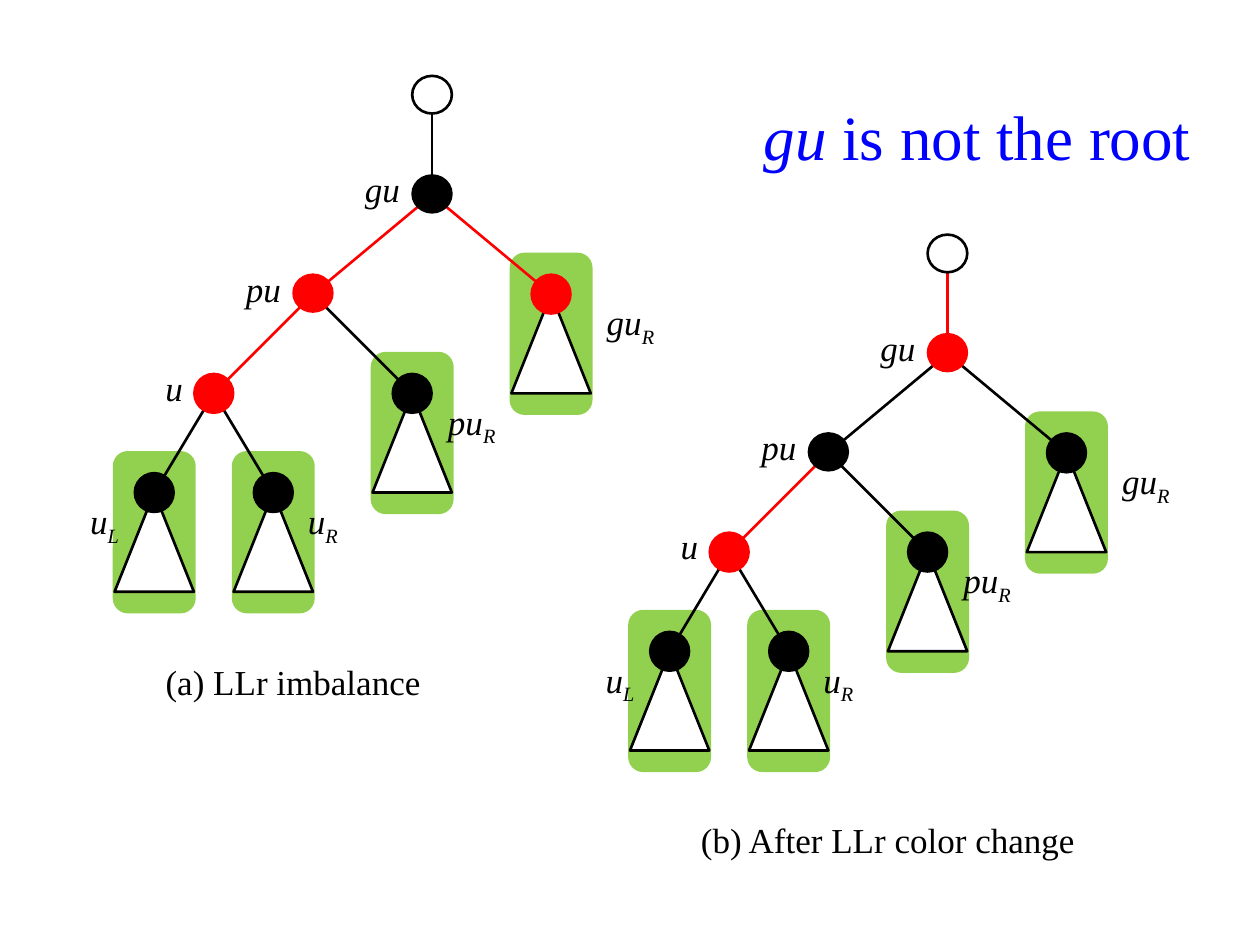
import pptx
import pptx.util
import pptx.dml.color
import pptx.enum.shapes
import pptx.enum.text
import pptx.oxml.ns
from lxml import etree

Cm = pptx.util.Cm
Pt = pptx.util.Pt
Preset = pptx.enum.shapes.MSO_SHAPE
Anchor = pptx.enum.text.MSO_ANCHOR
color = pptx.dml.color.RGBColor.from_string

theme = {
    "font": "Times New Roman",
    "title_size": 36,
    "text_size": 20,
    "title": "0000FF",
    "black": "000000",
    "red": "FF0000",
    "white": "FFFFFF",
    "green": "92D050",
}


def add_preset(preset, box, fill, line, width):
    shape = slide.shapes.add_shape(preset, *map(Cm, box))
    shape.shadow.inherit = False
    shape.fill.solid()
    shape.fill.fore_color.rgb = color(theme[fill])
    shape.line.color.rgb = color(theme[line])
    shape.line.width = Pt(width)


def write_text(shape, box, frame_format, pieces, size, ink):
    shape.left, shape.top, shape.width, shape.height = map(Cm, box)
    frame_format = {"word_wrap": True, "auto_size": pptx.enum.text.MSO_AUTO_SIZE.NONE, **frame_format}
    for name, value in frame_format.items():
        setattr(shape.text_frame, name, value)
    paragraph = shape.text_frame.paragraphs[0]
    paragraph.alignment = pptx.enum.text.PP_ALIGN.CENTER
    for text, italic, baseline in pieces:
        run = paragraph.add_run()
        run.text = text
        run_format = {"name": theme["font"], "size": Pt(size), "italic": italic}
        for name, value in run_format.items():
            setattr(run.font, name, value)
        run.font.color.rgb = color(theme[ink])
        if baseline:
            run.font._element.set("baseline", str(baseline))


presentation = pptx.Presentation()
presentation.slide_width = Cm(25.4)
presentation.slide_height = Cm(19.05)
slide = presentation.slides.add_slide(presentation.slide_layouts[5])

write_text(slide.shapes.title, (14.7, 1.52, 10, 2.4), {"vertical_anchor": Anchor.MIDDLE},
           [("gu", True, 0), (" is not the root", False, 0)], theme["title_size"], "title")

nodes = {
    "parent": (0, -2), "gu": (0, 0), "pu": (-2.4, 2), "u": (-4.4, 4),
    "uL": (-5.6, 6), "uR": (-3.2, 6), "puR": (-0.4, 4), "guR": (2.4, 2),
}
edges = [("parent", "gu"), ("gu", "pu"), ("gu", "guR"), ("pu", "u"),
         ("pu", "puR"), ("u", "uL"), ("u", "uR")]
node_heights = {"parent": 0.76, "gu": 0.76, "pu": 0.76}
node_label_widths = {"gu": 1.2, "pu": 1.2, "u": 0.8}
subtree_labels = {"uL": (-1.6, 1.2), "uR": (0.4, 1.2), "puR": (0.4, 1.6), "guR": (0.8, 1.6)}

trees = [
    {"root": (8.71, 3.93), "red_nodes": {"pu", "u", "guR"},
     "red_edges": {("gu", "pu"), ("gu", "guR"), ("pu", "u")},
     "caption": "(a) LLr imbalance", "caption_left": -6, "caption_width": 6.4},
    {"root": (19.1, 7.13), "red_nodes": {"gu", "u"},
     "red_edges": {("parent", "gu"), ("pu", "u")},
     "caption": "(b) After LLr color change", "caption_left": -5.6, "caption_width": 8.8},
]

for tree in trees:
    root_x, root_y = tree["root"]
    centers = {name: (root_x + x, root_y + y) for name, (x, y) in nodes.items()}

    for name in subtree_labels:
        x, y = centers[name]
        add_preset(Preset.FLOWCHART_ALTERNATE_PROCESS, (x - 0.8, y - 0.8, 1.6, 3.2), "green", "green", 2)
        add_preset(Preset.ISOSCELES_TRIANGLE, (x - 0.8, y, 1.6, 2), "white", "black", 1.5)

    for edge in edges:
        start, end = (centers[name] for name in edge)
        connector = slide.shapes.add_connector(
            pptx.enum.shapes.MSO_CONNECTOR.STRAIGHT, *map(Cm, start + end))
        connector.line.color.rgb = color(theme["red" if edge in tree["red_edges"] else "black"])
        connector.line.width = Pt(1.5)
        etree.SubElement(connector._element.spPr, pptx.oxml.ns.qn("a:effectLst"))

    for name, (x, y) in centers.items():
        ink = "red" if name in tree["red_nodes"] else "black"
        fill, width = ("white", 1.5) if name == "parent" else (ink, 1)
        add_preset(Preset.OVAL, (x - 0.4, y - 0.4, 0.8, node_heights.get(name, 0.8)), fill, ink, width)

    labels = []
    for name, width in node_label_widths.items():
        x, y = centers[name]
        labels.append(((x - 0.4 - width, y - 0.4, width, 0.8), 0.2, [(name, True, 0)]))
    for name, (shift, width) in subtree_labels.items():
        x, y = centers[name]
        labels.append(((x + shift, y + 0.4, width, 0.8), 0.25,
                       [(name[:-1], True, 0), (name[-1], True, -25000)]))
    for box, inset, pieces in labels:
        label_format = {"margin_left": Cm(inset), "margin_right": Cm(inset), "margin_top": 0,
                        "margin_bottom": Cm(0.1), "vertical_anchor": Anchor.BOTTOM}
        write_text(slide.shapes.add_textbox(*map(Cm, box)), box, label_format,
                   pieces, theme["text_size"], "black")

    box = (root_x + tree["caption_left"], root_y + 9.2, tree["caption_width"], 1.2)
    write_text(slide.shapes.add_textbox(*map(Cm, box)), box, {"vertical_anchor": Anchor.MIDDLE},
               [(tree["caption"], False, 0)], theme["text_size"], "black")

presentation.save("out.pptx")
